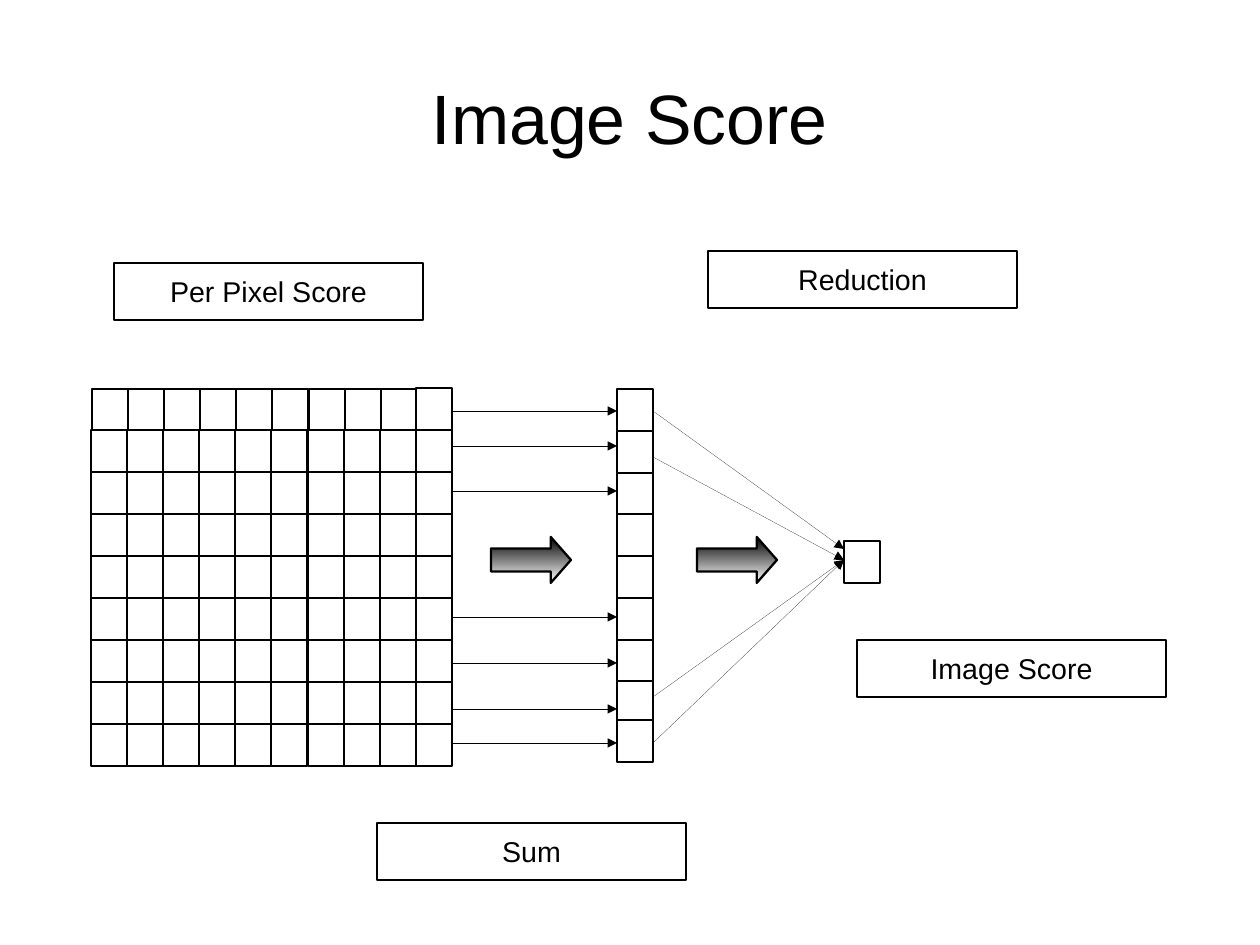
from lxml import etree
from pptx import Presentation
from pptx.dml.color import RGBColor
from pptx.enum.shapes import MSO_CONNECTOR, MSO_SHAPE
from pptx.enum.text import MSO_ANCHOR, PP_ALIGN
from pptx.oxml.ns import qn
from pptx.util import Emu, Pt

RECT = MSO_SHAPE.RECTANGLE
RIGHT_ARROW = MSO_SHAPE.RIGHT_ARROW
STRAIGHT = MSO_CONNECTOR.STRAIGHT
MIDDLE = MSO_ANCHOR.MIDDLE
CENTER = PP_ALIGN.CENTER

PX = 8000  # EMU; the slide is 1260 by 945 px
FONT = "Arial"
COLORS = {"ink": "000000", "paper": "FFFFFF"}
CELL_W, CELL_H = 36, 42

GRID_X = [91 + round(36.1 * col) for col in range(10)]
GRID_Y = [430 + CELL_H * row for row in range(8)]
GRID_TOP = 389
SUM_X = 617
SUM_Y = [389, 431, 472, 514, 556, 598, 639, 678, 720]
SCORE_X, SCORE_Y = 844, 541

ROW_ARROWS = [411, 446, 491, 617, 663, 709, 743]
REDUCTION_ARROWS = [(411, 549), (457, 560), (697, 560), (743, 560)]
BLOCK_ARROWS = [491, 697]
LABELS = [
    ("Per Pixel Score", 114, 263),
    ("Sum", 377, 823),
    ("Reduction", 708, 251),
    ("Image Score", 857, 640),
]


def px(n):
    return Emu(n * PX)


def color(name):
    return RGBColor.from_string(COLORS[name])


def write(s, text, size=18, margin_x=13, margin_y=7, wrap=False):
    tf = s.text_frame
    tf.word_wrap = wrap
    tf.vertical_anchor = MIDDLE
    tf.margin_left = tf.margin_right = px(margin_x)
    tf.margin_top = tf.margin_bottom = px(margin_y)
    p = tf.paragraphs[0]
    p.alignment = CENTER
    r = p.add_run()
    r.text = text
    r.font.name = FONT
    r.font.size = Pt(size)
    r.font.color.rgb = color("ink")


def add_outlined(sp, kind, x, y, w, h):
    """Add a white preset shape with a thin black outline."""
    s = sp.add_shape(kind, px(x), px(y), px(w), px(h))
    s.shadow.inherit = False
    s.fill.solid()
    s.fill.fore_color.rgb = color("paper")
    s.line.color.rgb = color("ink")
    s.line.width = Pt(1.45)
    return s


def add_cell(sp, x, y):
    add_outlined(sp, RECT, x, y, CELL_W, CELL_H)


def add_pixel_grid(sp):
    """Add the grid; its top row sits slightly off the rows below."""
    for x in GRID_X[:-1]:
        add_cell(sp, x + 1, GRID_TOP)
    for y in GRID_Y:
        for x in GRID_X:
            add_cell(sp, x, y)
    add_cell(sp, GRID_X[-1], GRID_TOP - 1)


def add_block_arrow(sp, x):
    s = add_outlined(sp, RIGHT_ARROW, x, 537, 80, 46)
    s.adjustments[0] = 0.5
    s.adjustments[1] = 0.44
    s.fill.gradient()
    s.fill.gradient_angle = 270
    for stop, name in zip(s.fill.gradient_stops, ("ink", "paper")):
        stop.color.rgb = color(name)


def add_thin_arrow(sp, x1, y1, x2, y2):
    """Add a hairline arrow; a zero width has to be written as XML."""
    s = sp.add_connector(STRAIGHT, px(x1), px(y1), px(x2), px(y2))
    s.line.color.rgb = color("ink")
    ln = s._element.spPr.find(qn("a:ln"))
    ln.set("w", "0")
    etree.SubElement(ln, qn("a:tailEnd"), type="triangle")
    etree.SubElement(s._element.spPr, qn("a:effectLst"))


def main():
    prs = Presentation()
    prs.slide_width, prs.slide_height = px(1260), px(945)
    sp = prs.slides.add_slide(prs.slide_layouts[6]).shapes

    title = sp.add_textbox(px(63), px(38), px(1134), px(158))
    write(title, "Image Score", size=44, margin_x=0, margin_y=0, wrap=True)

    add_pixel_grid(sp)
    for y in reversed(SUM_Y):
        add_cell(sp, SUM_X, y)
    add_cell(sp, SCORE_X, SCORE_Y)

    for x in BLOCK_ARROWS:
        add_block_arrow(sp, x)
    for text, x, y in LABELS:
        write(add_outlined(sp, RECT, x, y, 309, 57), text)
    for y in ROW_ARROWS:
        add_thin_arrow(sp, GRID_X[-1] + CELL_W, y, SUM_X, y)
    for start, end in REDUCTION_ARROWS:
        add_thin_arrow(sp, SUM_X + CELL_W, start, SCORE_X, end)

    prs.save("out.pptx")


if __name__ == "__main__":
    main()
